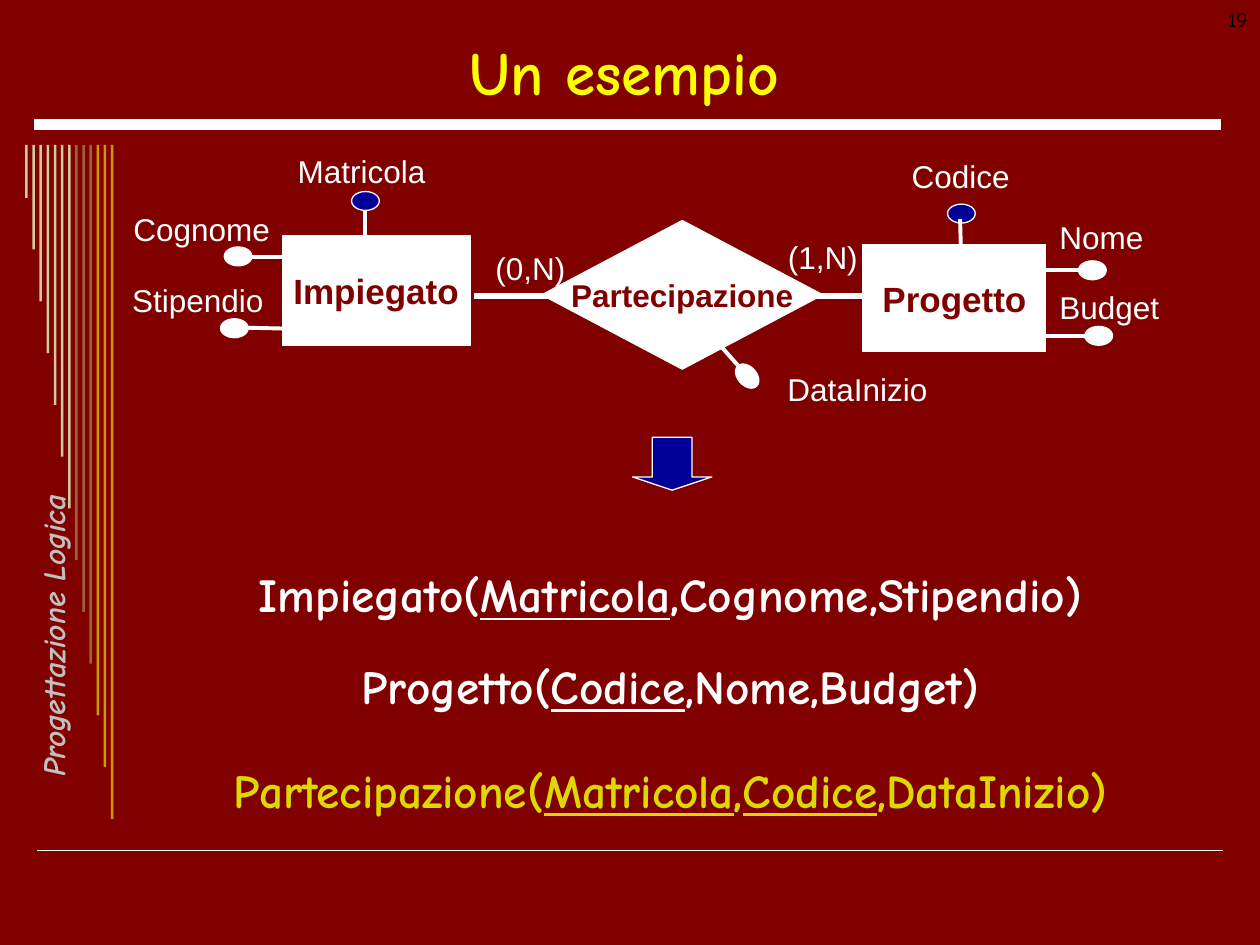
from lxml import etree
from pptx import Presentation
from pptx.dml.color import RGBColor
from pptx.enum import shapes as kinds, text as styles
from pptx.oxml import ns
from pptx.util import Inches, Pt

WHITE, MAROON, BLUE = "FFFFFF", "800000", "000099"
LEFT, CENTER, RIGHT = styles.PP_ALIGN.LEFT, styles.PP_ALIGN.CENTER, styles.PP_ALIGN.RIGHT
MIDDLE = styles.MSO_ANCHOR.MIDDLE
SHAPE = kinds.MSO_SHAPE
rgb = RGBColor.from_string

deck = Presentation()
deck.slide_width, deck.slide_height = Inches(10), Inches(7.5)
page = deck.slides.add_slide(deck.slide_layouts[6])
page.background.fill.solid()
page.background.fill.fore_color.rgb = rgb(MAROON)


def add(kind, place, fill=None, outline=None, content="", size=18, color=WHITE,
        font="Arial", bold=False, align=LEFT):
    """Add a preset shape, or a text box when kind is None."""
    place = [Inches(length) for length in place]
    if kind is None:
        shape = page.shapes.add_textbox(*place)
    else:
        shape = page.shapes.add_shape(kind, *place)
        shape.shadow.inherit = False
        shape.fill.solid()
        shape.fill.fore_color.rgb = rgb(fill)
        if outline:
            shape.line.color.rgb = rgb(outline)
            shape.line.width = Pt(0.75)
        else:
            shape.line.fill.background()
    if content:
        shape.text_frame.word_wrap = kind is None
        para = shape.text_frame.paragraphs[0]
        para.text = content
        para.alignment = align
        para.font.size, para.font.bold, para.font.name = Pt(size), bold, font
        para.font.color.rgb = rgb(color)
    return shape


def add_line(x1, y1, x2, y2, width):
    line = page.shapes.add_connector(
        kinds.MSO_CONNECTOR.STRAIGHT, Inches(x1), Inches(y1), Inches(x2), Inches(y2))
    line.line.color.rgb = rgb(WHITE)
    line.line.width = Pt(width)
    etree.SubElement(line._element.spPr, ns.qn("a:effectLst"))


# Page frame: rules, side bars, section name and page number
add_line(0.29, 6.75, 9.71, 6.75, 1)
add_line(0.27, 0.99, 9.69, 0.99, 6)
bar_colors = ["CCCC99"] * 7 + ["996633"] * 3 + ["CC9900"] * 3
for i, bar_color in enumerate(bar_colors):
    add(SHAPE.RECTANGLE, (0.2 + 0.68 * i / 12, 1.15, 0.02, 0.42 + 4.93 * i / 12), bar_color)

section = add(None, (-1.11, 4.92, 2.91, 0.25), content="Progettazione Logica",
              color="C0C0C0", font="Comic Neue", bold=True, align=CENTER)
section.rotation = 270
section.text_frame.word_wrap = False
section.text_frame.paragraphs[0].font.italic = True
add(None, (7.67, 0, 2.33, 0.5), content="19", size=12, color="000000",
    font="Comic Neue", align=RIGHT)

title = add(None, (0.35, 0.21, 9.21, 0.71), content="Un esempio", size=35,
            color="FFFF00", font="Comic Neue", bold=True, align=CENTER)
title.text_frame.vertical_anchor = MIDDLE

# Entity-relationship diagram
add_line(3.76, 2.35, 7.32, 2.35, 3)
for kind, place, name, size in [
    (SHAPE.RECTANGLE, (2.24, 1.87, 1.49, 0.87), "Impiegato", 20),
    (SHAPE.RECTANGLE, (6.85, 1.94, 1.45, 0.85), "Progetto", 20),
    (SHAPE.DIAMOND, (4.3, 1.75, 2.23, 1.18), "Partecipazione", 18),
]:
    node = add(kind, place, WHITE, WHITE, name, size, MAROON, bold=True, align=CENTER)
    node.text_frame.vertical_anchor = MIDDLE

# Attributes: dot corner, dot colour, dot rotation, line ends
for left, top, fill, angle, ends in [
    (1.78, 1.96, WHITE, 0, (1.94, 2.04, 2.39, 2.04)),
    (1.75, 2.53, WHITE, 0, (1.91, 2.6, 2.36, 2.61)),
    (8.56, 2.07, WHITE, 0, (8.17, 2.14, 8.62, 2.14)),
    (8.61, 2.59, WHITE, 0, (8.21, 2.67, 8.66, 2.67)),
    (5.82, 2.91, WHITE, 47.8, (5.6, 2.61, 5.9, 2.95)),
    (2.79, 1.52, BLUE, 0, (2.9, 1.67, 2.9, 2.05)),
    (7.52, 1.62, BLUE, 0, (7.62, 1.74, 7.63, 2.12)),
]:
    dot = add(SHAPE.OVAL, (left, top, 0.22, 0.15), fill, WHITE)
    dot.rotation = angle
    add_line(*ends, 2.25)

for label, left, top, width, align in [
    ("Matricola", 1.81, 1.16, 2.12, CENTER),
    ("Cognome", 0.96, 1.62, 1.32, LEFT),
    ("Stipendio", 0.95, 2.18, 1.32, LEFT),
    ("Codice", 6.65, 1.2, 1.95, CENTER),
    ("Nome", 8.31, 1.68, 1.11, LEFT),
    ("Budget", 8.31, 2.24, 1.11, LEFT),
    ("DataInizio", 6.15, 2.89, 1.49, LEFT),
    ("(0,N)", 3.55, 1.93, 1.32, CENTER),
    ("(1,N)", 5.87, 1.84, 1.32, CENTER),
]:
    add(None, (left, top, width, 0.4), content=label, align=align)

arrow = add(SHAPE.DOWN_ARROW, (5.02, 3.47, 0.63, 0.42), BLUE, WHITE)
arrow.adjustments[0], arrow.adjustments[1] = 0.5, 0.25

# Relational schema: every second span is a key and is underlined
schema = add(None, (1.06, 4.44, 8.52, 2.22)).text_frame
schema.word_wrap = True
for i, (color, space, spans) in enumerate([
    (WHITE, 0, ["Impiegato(", "Matricola", ",Cognome,Stipendio)"]),
    (WHITE, 20, ["Progetto(", "Codice", ",Nome,Budget)"]),
    ("DDD800", 27, ["Partecipazione(", "Matricola", ",", "Codice", ",DataInizio)"]),
]):
    para = schema.add_paragraph() if i else schema.paragraphs[0]
    para.alignment = CENTER
    para.space_before = Pt(space)
    para.font.size, para.font.bold, para.font.name = Pt(27), True, "Comic Neue"
    para.font.color.rgb = rgb(color)
    for j, words in enumerate(spans):
        span = para.add_run()
        span.text = words
        if j % 2:
            span.font.underline = True

deck.save("out.pptx")
